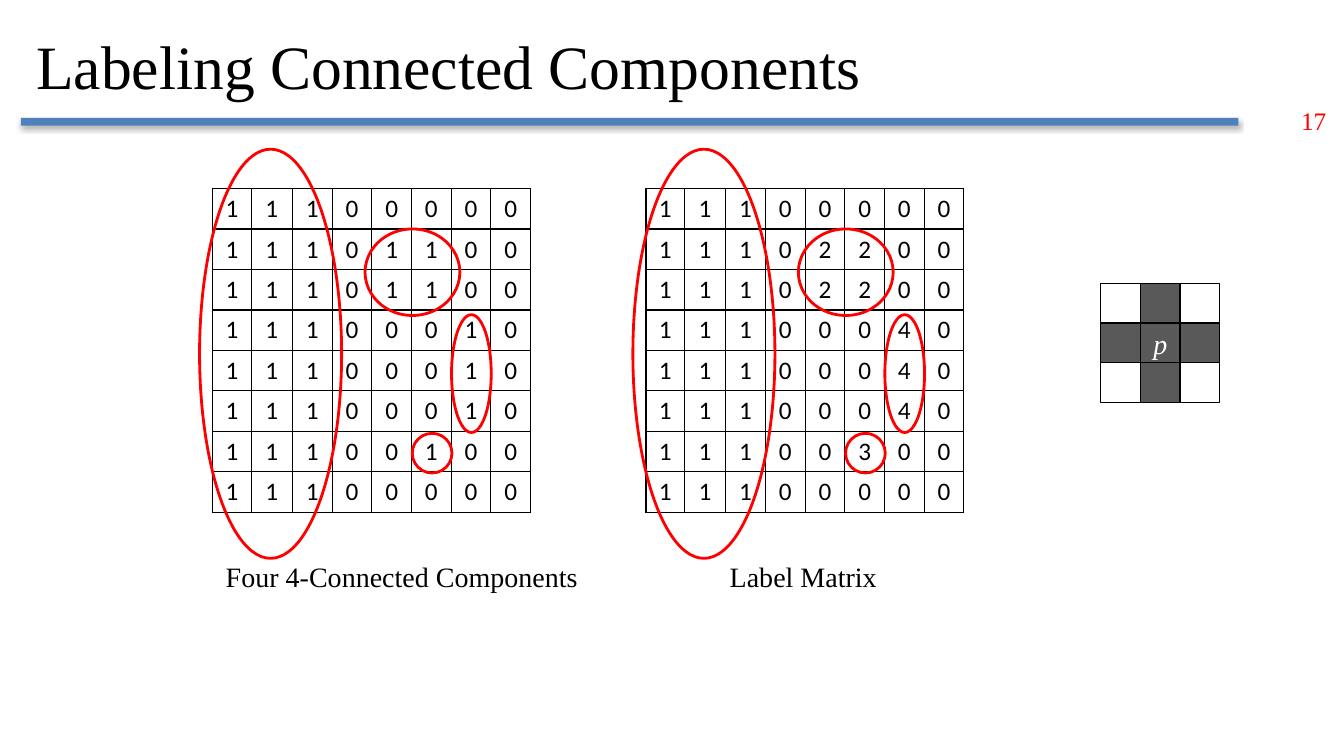
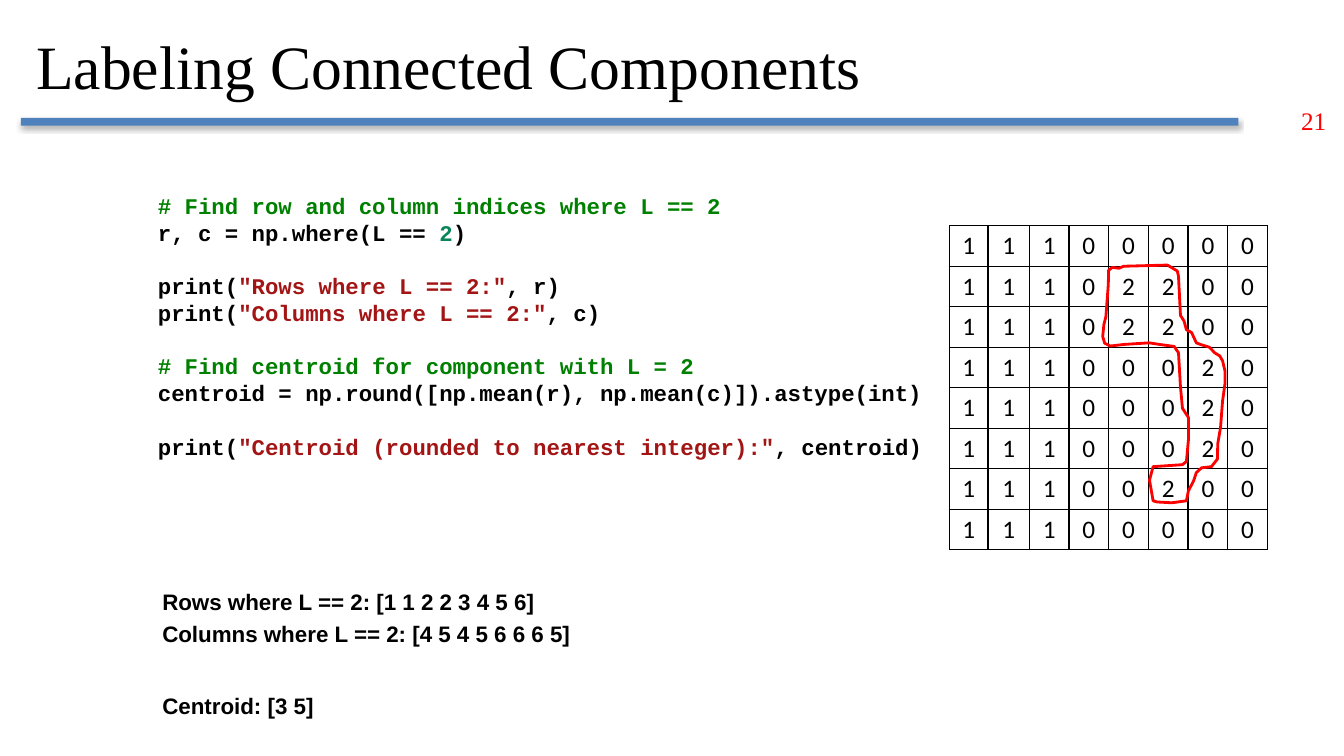
from dataclasses import dataclass

from lxml.etree import SubElement
from pptx import Presentation
from pptx.dml.color import RGBColor
from pptx.enum.shapes import MSO_SHAPE as Shape
from pptx.enum.text import MSO_ANCHOR as Anchor
from pptx.enum.text import MSO_AUTO_SIZE as AutoSize
from pptx.enum.text import PP_ALIGN as Align
from pptx.oxml.ns import qn
from pptx.slide import Slide
from pptx.text.text import Font
from pptx.util import Cm, Pt

# Colours and fonts
BLACK = RGBColor(0x00, 0x00, 0x00)
WHITE = RGBColor(0xFF, 0xFF, 0xFF)
RED = RGBColor(0xFF, 0x00, 0x00)
BAND_BLUE = RGBColor(0x4F, 0x81, 0xBD)
DARK_GRAY = RGBColor(0x59, 0x59, 0x59)
COMMENT_GREEN = RGBColor(0x00, 0x80, 0x00)
NUMBER_GREEN = RGBColor(0x09, 0x86, 0x58)
STRING_RED = RGBColor(0xA3, 0x15, 0x15)
SERIF, SANS, MONO, DIGITS = "Times New Roman", "Arial", "Courier New", "Calibri"

TITLE = "Labeling Connected Components"
COLUMN_WIDTHS = (0.97, 1.04) + (1.0,) * 6
ROW_HEIGHT = 1.02
CODE_LINE = Pt(19.1)


@dataclass(frozen=True)
class Frame:
    """Left, top, width and height in centimetres."""
    left: float
    top: float
    width: float
    height: float

    def lengths(self) -> tuple[Cm, Cm, Cm, Cm]:
        return Cm(self.left), Cm(self.top), Cm(self.width), Cm(self.height)

    def moved(self, left: float, top: float) -> "Frame":
        return Frame(self.left + left, self.top + top, self.width, self.height)


@dataclass(frozen=True)
class Matrix:
    left: float
    top: float
    rows: tuple[str, ...]


@dataclass(frozen=True)
class CodeLine:
    spans: tuple[tuple[str, RGBColor], ...]
    gap_before: bool = False


# Label values; the other matrices merge some of the labels
LABELS = (
    "11100000",
    "11102200",
    "11102200",
    "11100040",
    "11100040",
    "11100040",
    "11100300",
    "11100000",
)


def merged(old: str, new: str) -> tuple[str, ...]:
    return tuple(row.translate(str.maketrans(old, new)) for row in LABELS)


BINARY_MATRIX = Matrix(5.36, 4.75, merged("234", "111"))
LABEL_MATRIX = Matrix(16.28, 4.75, LABELS)
EIGHT_CONNECTED_MATRIX = Matrix(23.93, 5.69, merged("34", "22"))

# Component rings, measured from the matrix corner
RINGS = (
    Frame(-0.33, -0.99, 3.58, 10.31),
    Frame(3.84, 1.02, 2.39, 2.18),
    Frame(6.02, 3.18, 1, 2.97),
    Frame(5.03, 6.17, 1, 1),
)

# Hand-drawn outline of component 2, measured from the matrix corner
OUTLINE = (
    (4.01, 1.12), (4, 1.5), (3.94, 2.29), (3.89, 2.49), (3.86, 2.79),
    (3.91, 2.96), (4.05, 3.03), (4.4, 2.99), (5.03, 2.95), (5.36, 3),
    (5.66, 3.04), (5.77, 3.2), (5.82, 4.06), (5.87, 4.6), (6.02, 4.83),
    (6.02, 5.4), (5.97, 5.94), (5.87, 6.02), (5.13, 6.07), (5.04, 6.41),
    (5.13, 6.93), (5.23, 6.96), (5.6, 6.98), (5.97, 6.93), (6.02, 6.68),
    (6.15, 6.43), (6.22, 6.22), (6.35, 6.1), (6.6, 6.07), (6.75, 5.88),
    (6.76, 5.49), (6.83, 5.08), (6.88, 4.42), (6.94, 3.99), (6.94, 3.65),
    (6.88, 3.4), (6.81, 3.28), (6.68, 3.2), (6.55, 3.06), (6.35, 3),
    (6.22, 2.95), (6.1, 2.69), (5.97, 2.62), (5.91, 2.4), (5.82, 2.26),
    (5.77, 1.27), (5.74, 1.14), (5.49, 0.99), (4.39, 1.02), (4.27, 1.07),
    (4.1, 1.05),
)

CODE = (
    CodeLine((("# Find row and column indices where L == 2", COMMENT_GREEN),)),
    CodeLine((("r, c = np.where(L == ", BLACK), ("2", NUMBER_GREEN), (")", BLACK))),
    CodeLine((("print(", BLACK), ('"Rows where L == 2:"', STRING_RED),
              (", r)", BLACK)), gap_before=True),
    CodeLine((("print(", BLACK), ('"Columns where L == 2:"', STRING_RED),
              (", c)", BLACK))),
    CodeLine((("# Find centroid for component with L = 2", COMMENT_GREEN),),
             gap_before=True),
    CodeLine((("centroid = np.round([np.mean(r), np.mean(c)]).astype(int)", BLACK),)),
    CodeLine((("print(", BLACK),
              ('"Centroid (rounded to nearest integer):"', STRING_RED),
              (", centroid)", BLACK)), gap_before=True),
)

# Printed results with the space before each, in points
RESULTS = (
    ("Rows where L == 2: [1 1 2 2 3 4 5 6]", 0),
    ("Columns where L == 2: [4 5 4 5 6 6 6 5]", 3.6),
    ("Centroid: [3 5]", 32.3),
)


def style(font: Font, name: str, size: float, color: RGBColor,
          bold: bool = False, italic: bool = False) -> None:
    font.name, font.size = name, Pt(size)
    font.bold, font.italic = bold, italic
    font.color.rgb = color


def add_box(page: Slide, frame: Frame, wrap: bool = True):
    text_frame = page.shapes.add_textbox(*frame.lengths()).text_frame
    text_frame.word_wrap = wrap
    return text_frame


def add_page(deck, number: str) -> Slide:
    """Add a slide with the shared title, band and page number."""
    page = deck.slides.add_slide(deck.slide_layouts[5])

    # Band with a soft shadow below it
    band = page.shapes.add_shape(Shape.RECTANGLE, *Frame(0.53, 2.97, 30.68, 0.2).lengths())
    band.fill.solid()
    band.fill.fore_color.rgb = BAND_BLUE
    band.line.fill.background()
    band.shadow.inherit = False
    effects = band._element.spPr.find(qn("a:effectLst"))
    shadow = SubElement(effects, qn("a:outerShdw"), blurRad=str(Pt(3.5)),
                        dist=str(Pt(2.2)), dir="5400000", rotWithShape="0")
    shade = SubElement(shadow, qn("a:srgbClr"), val=str(BLACK))
    SubElement(shade, qn("a:alpha"), val="32000")

    # Page number
    corner = add_box(page, Frame(32.54, 2.54, 1.27, 1.02), wrap=False)
    corner.text = number
    style(corner.paragraphs[0].runs[0].font, SERIF, 18, RED)

    # Title
    title = page.shapes.title
    title.left, title.top, title.width, title.height = Frame(0.66, 0.36, 29.29, 2.57).lengths()
    title.text_frame.text = TITLE
    title.text_frame.auto_size = AutoSize.NONE
    title.text_frame.vertical_anchor = Anchor.MIDDLE
    para = title.text_frame.paragraphs[0]
    para.alignment = Align.LEFT
    style(para.runs[0].font, SERIF, 44, BLACK)
    return page


def add_borders(cell) -> None:
    properties = cell._tc.get_or_add_tcPr()
    for side in ("a:lnL", "a:lnR", "a:lnT", "a:lnB"):
        line = SubElement(properties, qn(side), w=str(Pt(1)))
        fill = SubElement(line, qn("a:solidFill"))
        SubElement(fill, qn("a:srgbClr"), val=str(BLACK))


def add_matrix(page: Slide, matrix: Matrix) -> None:
    frame = Frame(matrix.left, matrix.top, sum(COLUMN_WIDTHS), ROW_HEIGHT * len(matrix.rows))
    table = page.shapes.add_table(len(matrix.rows), len(COLUMN_WIDTHS), *frame.lengths()).table
    table.first_row = table.horz_banding = False
    for column, width in zip(table.columns, COLUMN_WIDTHS):
        column.width = Cm(width)
    for row_index, values in enumerate(matrix.rows):
        table.rows[row_index].height = Cm(ROW_HEIGHT)
        for column_index, value in enumerate(values):
            cell = table.cell(row_index, column_index)
            add_borders(cell)
            cell.fill.background()
            cell.text_frame.text = value
            para = cell.text_frame.paragraphs[0]
            para.alignment = Align.CENTER
            style(para.runs[0].font, DIGITS, 18, BLACK)


def draw_red_outline(shape) -> None:
    shape.shadow.inherit = False
    shape.fill.background()
    shape.line.color.rgb = RED
    shape.line.width = Pt(2)


def add_rings(page: Slide, matrix: Matrix) -> None:
    for ring in RINGS:
        frame = ring.moved(matrix.left, matrix.top)
        draw_red_outline(page.shapes.add_shape(Shape.OVAL, *frame.lengths()))


def add_component_outline(page: Slide, matrix: Matrix) -> None:
    start, *points = [(Cm(matrix.left + x), Cm(matrix.top + y)) for x, y in OUTLINE]
    builder = page.shapes.build_freeform(*start)
    builder.add_line_segments(points, close=True)
    draw_red_outline(builder.convert_to_shape())


def add_neighborhood(page: Slide) -> None:
    """Draw pixel p with its four neighbours shaded."""
    group = page.shapes.add_group_shape()
    corner = Frame(27.74, 7.14, 1, 1)
    for row in range(3):
        for column in range(3):
            frame = corner.moved(column, row)
            square = group.shapes.add_shape(Shape.RECTANGLE, *frame.lengths())
            square.shadow.inherit = False
            square.fill.solid()
            square.fill.fore_color.rgb = DARK_GRAY if 1 in (row, column) else WHITE
            square.line.color.rgb = BLACK
            square.line.width = Pt(1)
            if row == column == 1:
                text_frame = square.text_frame
                text_frame.word_wrap = False
                text_frame.vertical_anchor = Anchor.MIDDLE
                text_frame.text = "p"
                para = text_frame.paragraphs[0]
                para.alignment = Align.CENTER
                style(para.runs[0].font, SERIF, 20, WHITE, italic=True)


def add_captions(page: Slide) -> None:
    text_frame = add_box(page, Frame(5.44, 13.97, 22.63, 1.12))
    text_frame.text = "Four 4-Connected Components\tLabel Matrix"
    para = text_frame.paragraphs[0]
    tabs = SubElement(para._p.get_or_add_pPr(), qn("a:tabLst"))
    SubElement(tabs, qn("a:tab"), pos=str(Cm(12.7)), algn="l")
    for span in para.runs:
        style(span.font, SERIF, 20, BLACK)


def add_code(page: Slide) -> None:
    text_frame = add_box(page, Frame(3.73, 4.72, 20.19, 7.09))
    for index, line in enumerate(CODE):
        para = text_frame.add_paragraph() if index else text_frame.paragraphs[0]
        para.line_spacing = CODE_LINE
        if line.gap_before:
            para.space_before = CODE_LINE
        for text, color in line.spans:
            span = para.add_run()
            span.text = text
            style(span.font, MONO, 16, color, bold=True)


def add_results(page: Slide) -> None:
    text_frame = add_box(page, Frame(3.84, 14.7, 12.45, 4.2))
    text_frame.text = "\n".join(text for text, _ in RESULTS)
    for para, (_, gap) in zip(text_frame.paragraphs, RESULTS):
        para.alignment = Align.JUSTIFY
        para.space_before = Pt(gap)
        style(para.runs[0].font, SANS, 16, BLACK, bold=True)


def main() -> None:
    deck = Presentation()
    deck.slide_width, deck.slide_height = Cm(33.87), Cm(19.05)

    # Four-connected components and their labels
    page = add_page(deck, "17")
    for matrix in (BINARY_MATRIX, LABEL_MATRIX):
        add_matrix(page, matrix)
        add_rings(page, matrix)
    add_captions(page)
    add_neighborhood(page)

    # Centroid of one component
    page = add_page(deck, "21")
    add_matrix(page, EIGHT_CONNECTED_MATRIX)
    add_component_outline(page, EIGHT_CONNECTED_MATRIX)
    add_code(page)
    add_results(page)

    deck.save("out.pptx")


if __name__ == "__main__":
    main()
